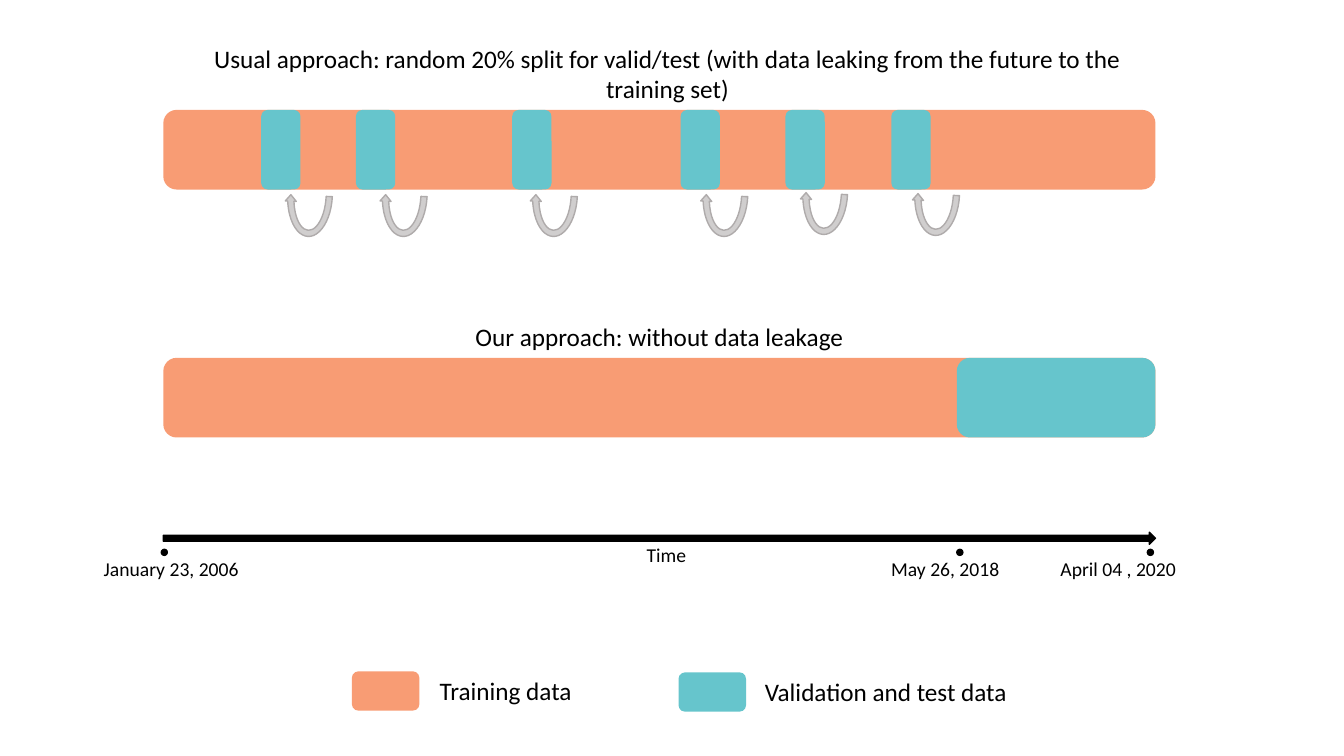
from pptx import Presentation
from pptx.dml.color import RGBColor
from pptx.enum.shapes import MSO_SHAPE
from pptx.enum.text import MSO_ANCHOR, MSO_AUTO_SIZE, PP_ALIGN
from pptx.util import Pt

PX = 9144  # EMU per px, 100 px to the inch
COLORS = {
    "training": "F89C74",
    "held_out": "66C5CC",
    "ink": "000000",
    "leak": "D0CECE",
    "leak_edge": "AFABAB",
}
BAR_LEFT, BAR_WIDTH, BAR_HEIGHT = 162, 984, 79
SPLIT_WIDTH = 39
SPLIT_LEFTS = (259, 353, 508, 675, 779, 884)
LEAKS = ((283, 151), (377, 151), (526, 151), (695, 151), (794, 149), (905, 150))
LEAK_ADJUSTMENTS = (0.125, 11.423, 204.577, 108, 0.111)
DATES = (
    (160, 93, "January 23, 2006"),
    (949, 874, "May 26, 2018"),
    (1138, 1042, "April 04 , 2020"),
)


def emu(box):
    return [length * PX for length in box]


def color(name):
    return RGBColor.from_string(COLORS[name])


def add_block(page, kind, box, fill, edge=None):
    block = page.shapes.add_shape(kind, *emu(box))
    block.shadow.inherit = False
    block.fill.solid()
    block.fill.fore_color.rgb = color(fill)
    if edge:
        block.line.color.rgb = color(edge)
        block.line.width = Pt(1)
    else:
        block.line.fill.background()
    return block


def write(holder, text, size, align):
    frame = holder.text_frame
    frame_format = {
        "word_wrap": True,
        "auto_size": MSO_AUTO_SIZE.SHAPE_TO_FIT_TEXT,
        "vertical_anchor": MSO_ANCHOR.TOP,
    }
    for name, value in frame_format.items():
        setattr(frame, name, value)
    para = frame.paragraphs[0]
    para.alignment = align
    span = para.add_run()
    span.text = text
    for name, value in {"name": "Calibri", "size": Pt(size)}.items():
        setattr(span.font, name, value)
    span.font.color.rgb = color("ink")


def add_label(page, box, text, size=18, align=PP_ALIGN.CENTER):
    write(page.shapes.add_textbox(*emu(box)), text, size, align)


def add_title(page, box, text):
    title = page.shapes.title
    title.left, title.top, title.width, title.height = emu(box)
    write(title, text, 18, PP_ALIGN.CENTER)


def add_data_bar(page, left, top, splits):
    """Draw a training bar with (left, width) held-out splits over it."""
    bar = (left, top, BAR_WIDTH, BAR_HEIGHT)
    add_block(page, MSO_SHAPE.ROUNDED_RECTANGLE, bar, "training")
    for split_left, width in splits:
        split = (split_left, top, width, BAR_HEIGHT)
        add_block(page, MSO_SHAPE.ROUNDED_RECTANGLE, split, "held_out")


def add_usual_approach(page, left, top):
    add_title(
        page,
        (left + 8, top, BAR_WIDTH, 71),
        "Usual approach: random 20% split for valid/test "
        "(with data leaking from the future to the training set)",
    )
    add_data_bar(page, left, top + 71, [(start, SPLIT_WIDTH) for start in SPLIT_LEFTS])
    for leak_left, leak_top in LEAKS:
        box = (leak_left, leak_top, 49, 86)
        leak = add_block(page, MSO_SHAPE.CIRCULAR_ARROW, box, "leak", "leak_edge")
        leak.rotation = 182.9
        for index, value in enumerate(LEAK_ADJUSTMENTS):
            leak.adjustments[index] = value


def add_our_approach(page, left, top):
    add_label(page, (left, top, BAR_WIDTH, 40), "Our approach: without data leakage")
    add_data_bar(page, left, top + 41, [(left + 787, 197)])


def add_timeline(page, left, top):
    add_block(page, MSO_SHAPE.RIGHT_ARROW, (left, top, BAR_WIDTH, 12), "ink", "ink")
    add_label(page, (left + 7, top + 6, BAR_WIDTH, 34), "Time", 14)
    for dot_left, label_left, date in DATES:
        add_block(page, MSO_SHAPE.OVAL, (dot_left, top + 17, 6, 6), "ink", "ink")
        add_label(page, (label_left, top + 20, 174, 34), date, 14, PP_ALIGN.LEFT)


def add_legend_entry(page, left, top, fill, text, text_box):
    add_block(page, MSO_SHAPE.ROUNDED_RECTANGLE, (left, top, 67, 39), fill)
    offset, width = text_box
    add_label(page, (left + offset, top - 1, width, 40), text)


def main():
    deck = Presentation()
    deck.slide_width, deck.slide_height = emu((1333, 750))
    page = deck.slides.add_slide(deck.slide_layouts.get_by_name("Title Only"))
    add_usual_approach(page, BAR_LEFT, 38)
    add_our_approach(page, BAR_LEFT, 314)
    add_timeline(page, BAR_LEFT, 528)
    add_legend_entry(page, 349, 666, "training", "Training data", (75, 155))
    add_legend_entry(page, 673, 667, "held_out", "Validation and test data", (75, 261))
    deck.save("out.pptx")


if __name__ == "__main__":
    main()
